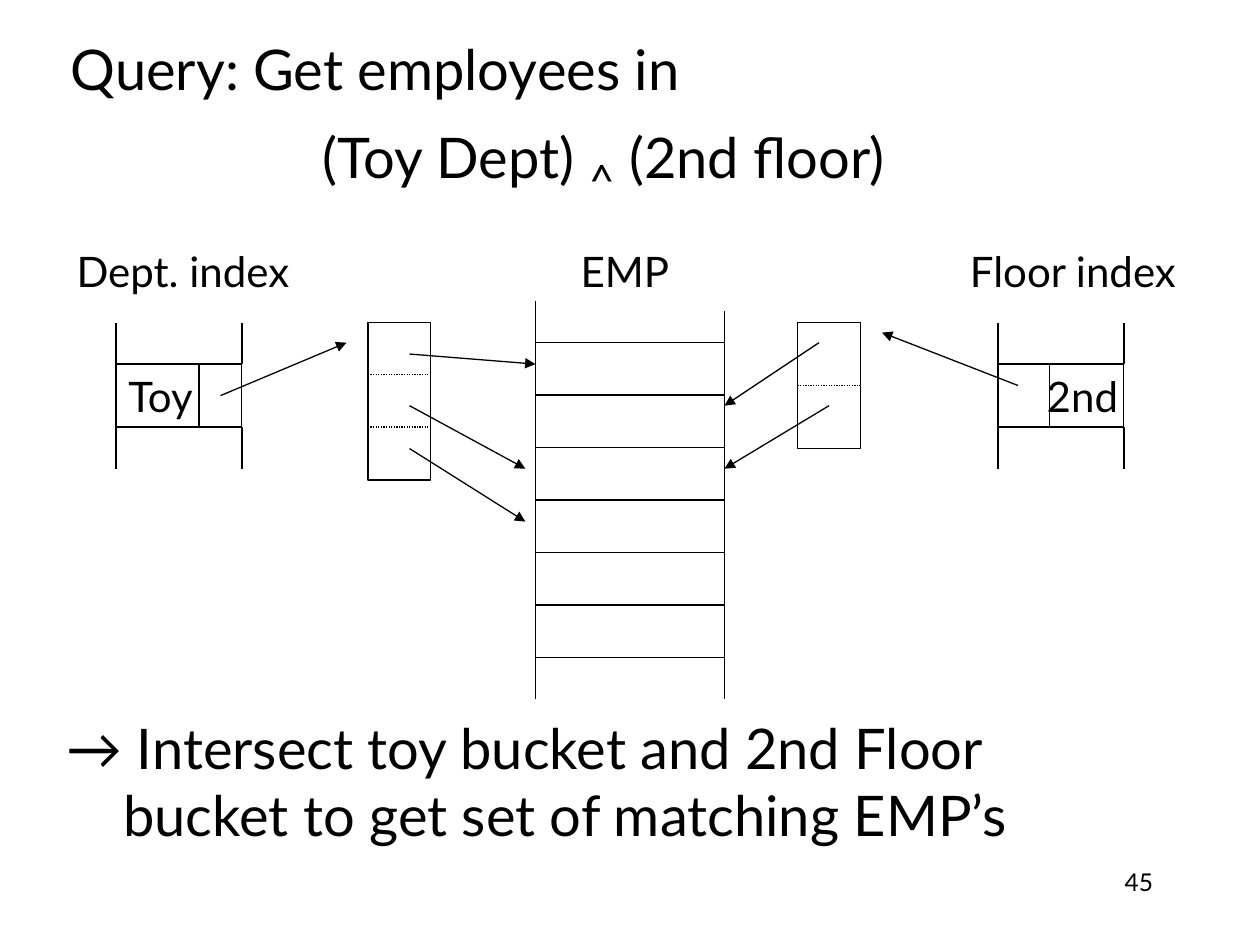
from dataclasses import dataclass

from lxml import etree
from pptx import Presentation
from pptx.dml.color import RGBColor
from pptx.enum.dml import MSO_LINE
from pptx.enum.shapes import MSO_CONNECTOR, MSO_SHAPE
from pptx.enum.text import MSO_ANCHOR, MSO_AUTO_SIZE, PP_ALIGN
from pptx.oxml.ns import qn
from pptx.util import Inches, Pt

STRAIGHT = MSO_CONNECTOR.STRAIGHT
RECTANGLE = MSO_SHAPE.RECTANGLE
DOTTED = MSO_LINE.ROUND_DOT
LEFT, CENTER, RIGHT = PP_ALIGN.LEFT, PP_ALIGN.CENTER, PP_ALIGN.RIGHT
TOP, MIDDLE = MSO_ANCHOR.TOP, MSO_ANCHOR.MIDDLE
FONT, BLACK, WHITE = "Lato", "000000", "FFFFFF"
RAIL = 0.33


@dataclass
class Line:
    x1: float
    y1: float
    x2: float
    y2: float
    arrow: bool = False
    dotted: bool = False


@dataclass
class Index:
    left: float
    key: str
    divider: float
    align: PP_ALIGN
    inset: float


@dataclass
class Bucket:
    left: float
    height: float
    dividers: tuple[float, ...]


EMP_LEFT, EMP_TOP, EMP_WIDTH, EMP_HEIGHT, EMP_ROWS = 4.25, 2.72, 1.5, 2.5, 6
INDEX_TOP, INDEX_WIDTH, INDEX_HEIGHT = 2.89, 1.0, 0.5
BUCKET_TOP, BUCKET_WIDTH = 2.56, 0.5

INDEXES = [
    Index(0.92, "Toy", 1.58, LEFT, 0.1),
    Index(7.92, "2nd", 8.33, CENTER, 0.44),
]
BUCKETS = [Bucket(2.92, 1.25, (2.97, 3.39)), Bucket(6.33, 1.0, (3.06,))]
POINTERS = [
    Line(6.5, 2.72, 5.75, 3.22, arrow=True),
    Line(6.58, 3.22, 5.75, 3.72, arrow=True),
    Line(8.08, 3.06, 7.0, 2.64, arrow=True),
    Line(1.75, 3.14, 2.75, 2.72, arrow=True),
    Line(3.25, 2.81, 4.25, 2.89, arrow=True),
    Line(3.25, 3.22, 4.17, 3.72, arrow=True),
    Line(3.25, 3.56, 4.17, 4.14, arrow=True),
]


def color(value: str) -> RGBColor:
    return RGBColor.from_string(value)


def format_run(span, size: float) -> None:
    span.font.name = FONT
    span.font.size = Pt(size)
    span.font.color.rgb = color(BLACK)


def place(shape, left: float, top: float, width: float, height: float) -> None:
    shape.left, shape.top = Inches(left), Inches(top)
    shape.width, shape.height = Inches(width), Inches(height)


def set_tabs(para, *stops: float) -> None:
    """Add left tab stops, measured from the text edge in inches."""
    tabs = etree.SubElement(para._p.get_or_add_pPr(), qn("a:tabLst"))
    for stop in stops:
        etree.SubElement(tabs, qn("a:tab"), pos=str(Inches(stop)), algn="l")


def write(shape, text: str, size: float, align: PP_ALIGN = LEFT,
          anchor: MSO_ANCHOR = MIDDLE, wrap: bool = True):
    """Fill a shape with one formatted paragraph and return the paragraph."""
    frame = shape.text_frame
    frame.word_wrap = wrap
    frame.auto_size = MSO_AUTO_SIZE.NONE
    frame.vertical_anchor = anchor
    para = frame.paragraphs[0]
    para.text = text
    para.alignment = align
    for span in para.runs:
        format_run(span, size)
    return para


def add_text_box(page, left: float, top: float, width: float, height: float):
    return page.shapes.add_textbox(
        Inches(left), Inches(top), Inches(width), Inches(height))


def draw_box(page, left: float, top: float, width: float, height: float):
    box = page.shapes.add_shape(
        RECTANGLE, Inches(left), Inches(top), Inches(width), Inches(height))
    box.shadow.inherit = False
    box.fill.solid()
    box.fill.fore_color.rgb = color(WHITE)
    box.line.color.rgb = color(BLACK)
    box.line.width = Pt(0.75)
    return box


def draw_line(page, line: Line) -> None:
    connector = page.shapes.add_connector(
        STRAIGHT, Inches(line.x1), Inches(line.y1), Inches(line.x2), Inches(line.y2))
    connector.line.color.rgb = color(BLACK)
    connector.line.width = Pt(0.75)
    if line.dotted:
        connector.line.dash_style = DOTTED
    if line.arrow:
        etree.SubElement(connector.line._get_or_add_ln(), qn("a:tailEnd"), type="triangle")
    etree.SubElement(connector._element.spPr, qn("a:effectLst"))


def draw_rail(page, x: float, top: float) -> None:
    """Draw a short upright showing that a table goes on."""
    draw_line(page, Line(x, top, x, top + RAIL))


def draw_employees(page) -> None:
    row_height = EMP_HEIGHT / EMP_ROWS
    for row in range(EMP_ROWS):
        draw_box(page, EMP_LEFT, EMP_TOP + row * row_height, EMP_WIDTH, row_height)
    for x, top in ((EMP_LEFT, 2.39), (EMP_LEFT + EMP_WIDTH, 2.47)):
        draw_rail(page, x, top)
        draw_rail(page, x, EMP_TOP + EMP_HEIGHT)


def draw_index(page, index: Index) -> None:
    box = draw_box(page, index.left, INDEX_TOP, INDEX_WIDTH, INDEX_HEIGHT)
    write(box, index.key, 24, index.align, wrap=False)
    box.text_frame.margin_left = Inches(index.inset)
    bottom = INDEX_TOP + INDEX_HEIGHT
    for x in (index.left, index.left + INDEX_WIDTH):
        draw_rail(page, x, INDEX_TOP - RAIL)
        draw_rail(page, x, bottom)
    draw_line(page, Line(index.divider, INDEX_TOP, index.divider, bottom))


def draw_bucket(page, bucket: Bucket) -> None:
    draw_box(page, bucket.left, BUCKET_TOP, BUCKET_WIDTH, bucket.height)
    for y in bucket.dividers:
        draw_line(page, Line(bucket.left, y, bucket.left + BUCKET_WIDTH, y, dotted=True))


def add_title(page) -> None:
    title = page.shapes.title
    place(title, 0.46, 0.33, 8.5, 1.25)
    para = write(title, "Query: Get employees in\v\t(Toy Dept) ", 32)
    set_tabs(para, 2.0)
    for text, size in (("^", 44), (" (2nd floor)", 32)):
        span = para.add_run()
        span.text = text
        format_run(span, size)
        if text == "^":
            span.font._element.set("baseline", "-25000")


def add_labels(page) -> None:
    labels = add_text_box(page, 0.51, 1.9, 8.93, 0.5)
    labels.text_frame.margin_right = 0
    para = write(labels, "Dept. index\tEMP\tFloor index", 24)
    set_tabs(para, 4.0, 7.09)


def add_conclusion(page) -> None:
    conclusion = add_text_box(page, 0.43, 5.57, 9.08, 1.25)
    text = "→ Intersect toy bucket and 2nd Floor\vbucket to get set of matching EMP’s"
    properties = write(conclusion, text, 32)._p.get_or_add_pPr()
    properties.set("marL", str(Inches(0.45)))
    properties.set("indent", str(Inches(-0.45)))


def main() -> None:
    deck = Presentation()
    deck.slide_width, deck.slide_height = Inches(10), Inches(7.5)
    page = deck.slides.add_slide(deck.slide_layouts[5])
    write(add_text_box(page, 7.17, 6.83, 2.08, 0.5), "45", 14, RIGHT, TOP)
    add_title(page)
    add_labels(page)
    draw_employees(page)
    for bucket in BUCKETS:
        draw_bucket(page, bucket)
    for index in INDEXES:
        draw_index(page, index)
    for pointer in POINTERS:
        draw_line(page, pointer)
    add_conclusion(page)
    deck.save("out.pptx")


if __name__ == "__main__":
    main()
